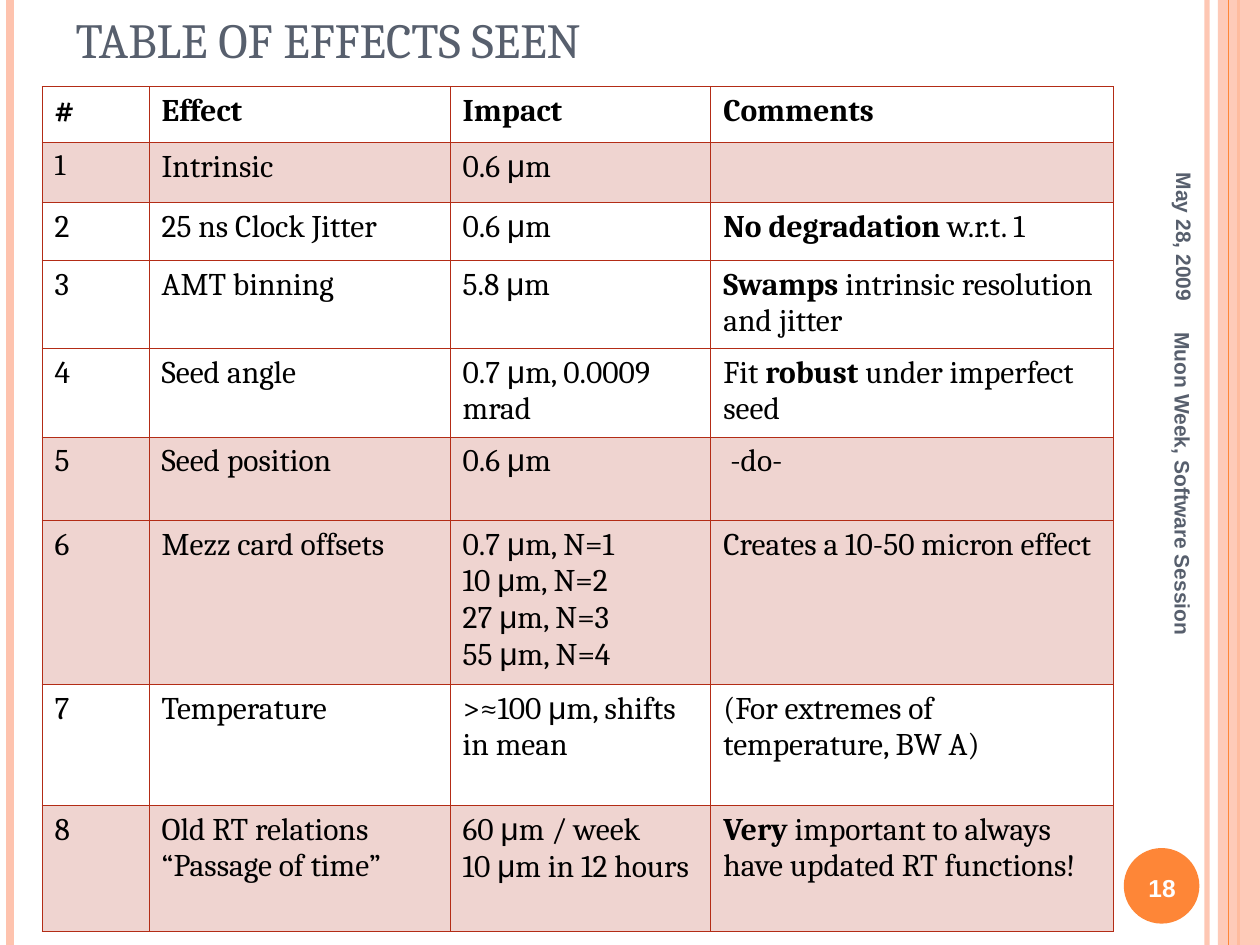
import pptx
import pptx.dml.color
import pptx.enum.shapes
import pptx.enum.text
import pptx.oxml
import pptx.oxml.ns
import pptx.util
import lxml.etree

Pt = pptx.util.Pt
RGBColor = pptx.dml.color.RGBColor
Anchor = pptx.enum.text.MSO_ANCHOR
Align = pptx.enum.text.PP_ALIGN
qn = pptx.oxml.ns.qn

PEACH = RGBColor(0xFE, 0xC3, 0xAE)
ORANGE = RGBColor(0xFE, 0x86, 0x37)
SLATE = RGBColor(0x57, 0x5F, 0x6D)
RED = RGBColor(0xB3, 0x2C, 0x16)
BLACK = RGBColor(0, 0, 0)
WHITE = RGBColor(0xFF, 0xFF, 0xFF)

SLIDE_WIDTH, SLIDE_HEIGHT = 720, 540
TITLE = "TABLE OF EFFECTS SEEN"
COLUMN_WIDTHS = [61.2, 172, 149, 229.8]
ROWS = [
    (32, False, ["*#*", "*Effect*", "*Impact*", "*Comments*"]),
    (34.3, True, ["1", "Intrinsic", "0.6 μm", ""]),
    (33.1, False, ["2", "25 ns Clock Jitter", "0.6 μm", "*No degradation* w.r.t. 1"]),
    (50.5, False, ["3", "AMT binning", "5.8 μm",
                   "*Swamps *intrinsic resolution and jitter"]),
    (50.5, False, ["4", "Seed angle", "0.7 μm, 0.0009 mrad",
                   "Fit *robust *under imperfect seed"]),
    (47.7, True, ["5", "Seed position", "0.6 μm", " -do-"]),
    (93.7, True, ["6", "Mezz card offsets",
                  "0.7 μm, N=1\n10 μm, N=2\n27 μm, N=3\n55 μm, N=4",
                  "Creates a 10-50 micron effect"]),
    (69.3, False, ["7", "Temperature", ">≈100 μm, shifts in mean",
                   "(For extremes of temperature, BW A)"]),
    (72, True, ["8", "Old RT relations\n“Passage of time”",
                "60 μm / week\n10 μm in 12 hours",
                "*Very *important to always have updated RT functions!"]),
]
SIDE_TEXTS = [
    ("*May 28, 2009*", (597.6, 85, 158.4, 30), 90, 12, SLATE, Align.RIGHT),
    ("*18*", (640, 486.7, 48.2, 41), 0, 14, WHITE, Align.CENTER),
    ("*Muon Week, Software Session*", (550, 294.5, 252, 28.8), 90, 12, SLATE, Align.LEFT),
]
STRIPES = [
    (689.8, PEACH, 3, 93),
    (5.8, PEACH, 4.5, 100),
    (707.8, ORANGE, 1.5, 100),
    (702, ORANGE, 0.75, 100),
]


def write_text(frame, text, size=18, font="Cambria", color=BLACK,
               align=Align.LEFT, anchor=Anchor.TOP):
    frame.word_wrap = True
    frame.vertical_anchor = anchor
    for number, line in enumerate(text.split("\n")):
        paragraph = frame.add_paragraph() if number else frame.paragraphs[0]
        paragraph.alignment = align
        for index, part in enumerate(line.split("*")):
            for piece in filter(None, part.replace("μ", "|μ|").split("|")):
                run = paragraph.add_run()
                run.text = piece
                run.font.name = "Arial" if piece == "μ" else font
                run.font.size = Pt(size)
                run.font.bold = index % 2 == 1
                run.font.color.rgb = color


def set_opacity(properties, percent):
    for color in properties.iter(qn("a:srgbClr")):
        lxml.etree.SubElement(color, qn("a:alpha"), val=str(percent * 1000))


def add_stripe(slide, x, color, width, opacity):
    line = slide.shapes.add_connector(
        pptx.enum.shapes.MSO_CONNECTOR.STRAIGHT, Pt(x), 0, Pt(x), Pt(SLIDE_HEIGHT))
    line.line.color.rgb = color
    line.line.width = Pt(width)
    properties = line.line._get_or_add_ln()
    if opacity < 100:
        set_opacity(properties, opacity)
    lxml.etree.SubElement(properties.getparent(), qn("a:effectLst"))


def add_plain_shape(slide, kind, bounds, color):
    shape = slide.shapes.add_shape(kind, *map(Pt, bounds))
    shape.shadow.inherit = False
    shape.fill.solid()
    shape.fill.fore_color.rgb = color
    shape.line.fill.background()
    return shape


def border_cell(cell, row_index):
    properties = cell._tc.get_or_add_tcPr()
    thick_side = {0: "B", 1: "T"}.get(row_index)
    for position, side in enumerate("LRTB"):
        width = Pt(0.96 if side == thick_side else 0.45)
        properties.insert(position, pptx.oxml.parse_xml(
            f'<a:ln{side} {pptx.oxml.ns.nsdecls("a")} w="{int(width)}">'
            f'<a:solidFill><a:srgbClr val="{RED}"/></a:solidFill></a:ln{side}>'))


presentation = pptx.Presentation()
presentation.slide_width, presentation.slide_height = Pt(SLIDE_WIDTH), Pt(SLIDE_HEIGHT)
slide = presentation.slides.add_slide(presentation.slide_layouts[5])

title = slide.shapes.title
title.left, title.top, title.width, title.height = map(Pt, (36, 0, 588, 42.5))
write_text(title.text_frame, TITLE, size=28, color=SLATE, anchor=Anchor.BOTTOM)

for stripe in STRIPES[:3]:
    add_stripe(slide, *stripe)
band = add_plain_shape(slide, pptx.enum.shapes.MSO_SHAPE.RECTANGLE,
                       (696, 0, 24, SLIDE_HEIGHT), PEACH)
set_opacity(band.fill._xPr.find(qn("a:solidFill")), 87)
add_stripe(slide, *STRIPES[3])
add_plain_shape(slide, pptx.enum.shapes.MSO_SHAPE.OVAL, (642.2, 484.6, 43.2, 43.2), ORANGE)

table = slide.shapes.add_table(
    len(ROWS), len(COLUMN_WIDTHS), Pt(24), Pt(49.4),
    Pt(sum(COLUMN_WIDTHS)), Pt(sum(row[0] for row in ROWS))).table
for column, width in zip(table.columns, COLUMN_WIDTHS):
    column.width = Pt(width)
for row_index, (height, shaded, texts) in enumerate(ROWS):
    table.rows[row_index].height = Pt(height)
    for column_index, text in enumerate(texts):
        cell = table.cell(row_index, column_index)
        size = 17 if text == "1" else 18
        write_text(cell.text_frame, text, size=size)
        if shaded:
            cell.fill.solid()
            cell.fill.fore_color.rgb = RED
            set_opacity(cell._tc.tcPr, 20)
        else:
            cell.fill.background()
        border_cell(cell, row_index)

for text, bounds, rotation, size, color, align in SIDE_TEXTS:
    box = slide.shapes.add_textbox(*map(Pt, bounds))
    box.rotation = rotation
    write_text(box.text_frame, text, size=size, font="Arial", color=color,
               align=align, anchor=Anchor.MIDDLE)

presentation.save("out.pptx")
